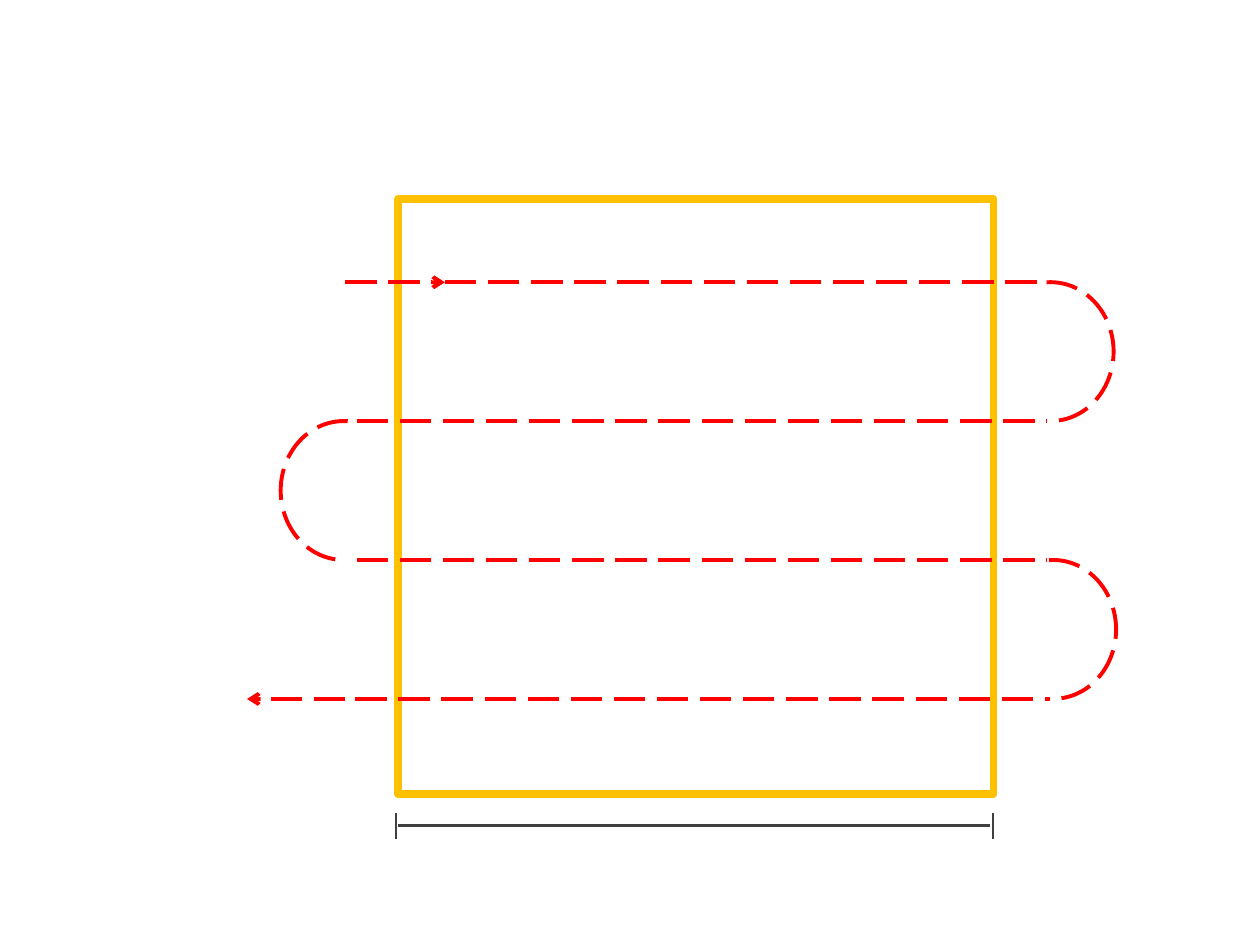
from lxml.etree import SubElement
from pptx import Presentation
from pptx.dml.color import RGBColor
from pptx.enum.dml import MSO_LINE
from pptx.enum.shapes import MSO_CONNECTOR, MSO_SHAPE
from pptx.oxml.ns import qn
from pptx.util import Cm, Pt

COLORS = {"field": "FFC000", "route": "FF0000", "dimension": "404040"}


def style_line(shape, color, width, dashed=False):
    shape.line.color.rgb = RGBColor.from_string(COLORS[color])
    shape.line.width = Pt(width)
    if dashed:
        shape.line.dash_style = MSO_LINE.LONG_DASH


def add_line(shapes, ends, color, width, dashed=False, arrow=False):
    connector = shapes.add_connector(MSO_CONNECTOR.STRAIGHT, *map(Cm, ends))
    style_line(connector, color, width, dashed)
    properties = connector._element.spPr
    if arrow:
        SubElement(properties.find(qn("a:ln")), qn("a:tailEnd"), type="arrow")
    SubElement(properties, qn("a:effectLst"))


deck = Presentation()
deck.slide_width, deck.slide_height = Cm(25.4), Cm(19.05)
page = deck.slides.add_slide(deck.slide_layouts[6])

# Square field
field = page.shapes.add_shape(MSO_SHAPE.RECTANGLE, Cm(8.03), Cm(4.01), Cm(12), Cm(12))
field.shadow.inherit = False
field.fill.background()
style_line(field, "field", 4.5)

# Back-and-forth route: four passes, evenly spaced
route = page.shapes.add_group_shape().shapes
gap = 2.8
rows = [5.69 + gap * i for i in range(4)]
passes = [(8.97, 20.96), (7.19, 21.11), (7.19, 21.11), (7.16, 21.16)]
for (start, end), y in zip(passes, rows):
    add_line(route, (start, y, end, y), "route", 2.25, dashed=True)

# Half-circle turns, alternating right and left
for i, (left, y) in enumerate(zip((19.91, 5.66, 19.96), rows)):
    turn = route.add_shape(MSO_SHAPE.ARC, Cm(left), Cm(y), Cm(2.54), Cm(gap))
    turn.adjustments[0], turn.adjustments[1] = 159.99, 54.82
    turn.shadow.inherit = False
    turn.fill.background()
    style_line(turn, "route", 2.25, dashed=True)
    if i % 2:
        turn._element.spPr.find(qn("a:xfrm")).set("flipH", "1")

# Entry and exit arrows
for end, y in ((8.97, rows[0]), (4.98, rows[-1])):
    add_line(route, (6.96, y, end, y), "route", 2.25, dashed=True, arrow=True)

# Dimension line with end ticks
add_line(page.shapes, (8.03, 16.64, 19.96, 16.64), "dimension", 1.5)
for x in (7.98, 20.02):
    add_line(page.shapes, (x, 16.92, x, 16.38), "dimension", 1.5)

deck.save("out.pptx")
